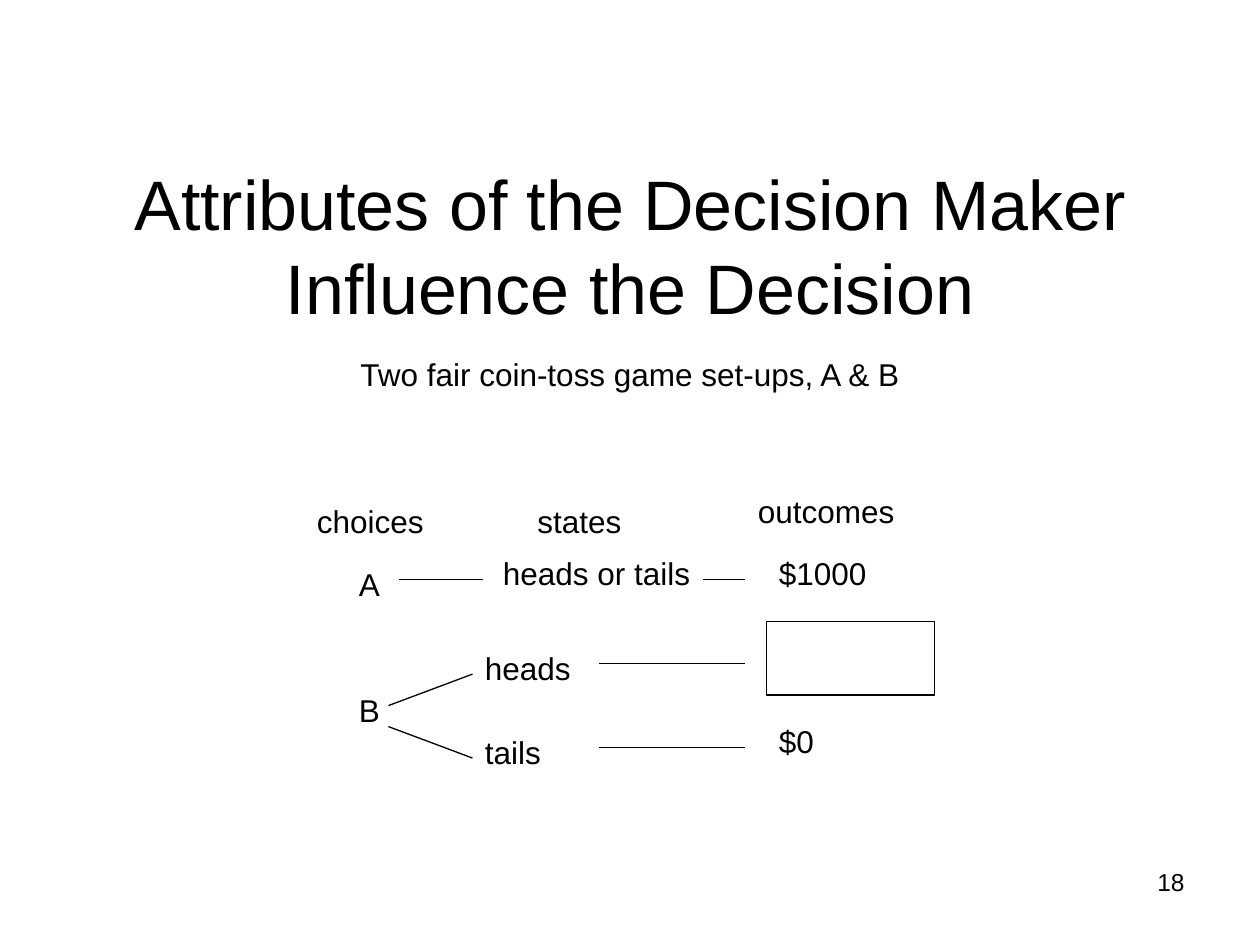
from dataclasses import dataclass

from lxml.etree import SubElement
from pptx import Presentation
from pptx.dml.color import RGBColor
from pptx.enum.shapes import MSO_CONNECTOR, MSO_SHAPE
from pptx.enum.text import MSO_ANCHOR, PP_ALIGN
from pptx.oxml.ns import qn
from pptx.util import Inches, Pt


@dataclass(frozen=True)
class Theme:
    font: str = "Arial"
    ink: RGBColor = RGBColor(0, 0, 0)
    paper: RGBColor = RGBColor(255, 255, 255)
    title_size: int = 40
    body_size: int = 18
    number_size: int = 14
    line_width: float = 0.75


@dataclass(frozen=True)
class Box:
    """A region measured in columns and rows of the slide grid."""
    left: float
    top: float
    width: float
    height: float

    def inner(self, column, row, width, height):
        return Box(self.left + column, self.top + row, width, height)


THEME = Theme()
COLUMNS, ROWS = 120, 90
CELL = Inches(10) / COLUMNS
LABEL_HEIGHT = 4.8


def grid(*cells):
    return [round(cell * CELL) for cell in cells]


def add_text(page, box, text, size=THEME.body_size, align=PP_ALIGN.LEFT,
             anchor=MSO_ANCHOR.TOP):
    shape = page.shapes.add_textbox(
        *grid(box.left, box.top, box.width, box.height))
    frame = shape.text_frame
    frame.word_wrap = True
    frame.vertical_anchor = anchor
    frame.text = text
    para = frame.paragraphs[0]
    para.alignment = align
    font = para.runs[0].font
    font.name = THEME.font
    font.size = Pt(size)
    font.color.rgb = THEME.ink


def style_line(line):
    line.color.rgb = THEME.ink
    line.width = Pt(THEME.line_width)


def add_heading(page, box):
    """Title in the upper part of the box, subtitle below it."""
    add_text(page, box.inner(0, 0, box.width, 15),
             "Attributes of the Decision Maker Influence the Decision",
             THEME.title_size, PP_ALIGN.CENTER, MSO_ANCHOR.MIDDLE)
    add_text(page, box.inner(6, 17.4, box.width - 12, LABEL_HEIGHT),
             "Two fair coin-toss game set-ups, A & B", align=PP_ALIGN.CENTER)


def add_decision_tree(page, box):
    # Labels: text, column, row, width
    labels = [
        ("choices", 0, 0, 18),
        ("states", 21, 0, 21),
        ("outcomes", 42, -0.9, 17),
        ("A", 4, 6, 5),
        ("heads or tails", 17.7, 5, 21.3),
        ("$1000", 44, 5, 13),
        ("B", 4, 18, 7),
        ("heads", 16, 14, 12),
        ("tails", 16, 22, 14),
        ("$0", 44, 21, 14),
    ]
    for text, column, row, width in labels:
        add_text(page, box.inner(column, row, width, LABEL_HEIGHT), text)

    # Branches: start column and row, end column and row
    branches = [
        (9, 8, 17, 8),
        (38, 8, 42, 8),
        (8, 20, 16, 17),
        (8, 22, 16, 25),
        (28, 16, 42, 16),
        (28, 24, 42, 24),
    ]
    for x1, y1, x2, y2 in branches:
        branch = page.shapes.add_connector(
            MSO_CONNECTOR.STRAIGHT,
            *grid(box.left + x1, box.top + y1, box.left + x2, box.top + y2))
        style_line(branch.line)
        SubElement(branch._element.spPr, qn("a:effectLst"))

    # Empty outcome of the heads branch
    blank = box.inner(44, 12, 16, 7)
    outcome = page.shapes.add_shape(
        MSO_SHAPE.RECTANGLE,
        *grid(blank.left, blank.top, blank.width, blank.height))
    outcome.shadow.inherit = False
    outcome.fill.solid()
    outcome.fill.fore_color.rgb = THEME.paper
    style_line(outcome.line)


def add_page_number(page, box):
    add_text(page, box, "18", THEME.number_size, PP_ALIGN.RIGHT)


def main():
    deck = Presentation()
    deck.slide_width, deck.slide_height = grid(COLUMNS, ROWS)
    page = deck.slides.add_slide(deck.slide_layouts[6])
    add_heading(page, Box(6, 15.8, 108, 22.2))
    add_decision_tree(page, Box(29, 47.2, 60, 27))
    add_page_number(page, Box(86, 82, 28, 6.2))
    deck.save("out.pptx")


if __name__ == "__main__":
    main()
